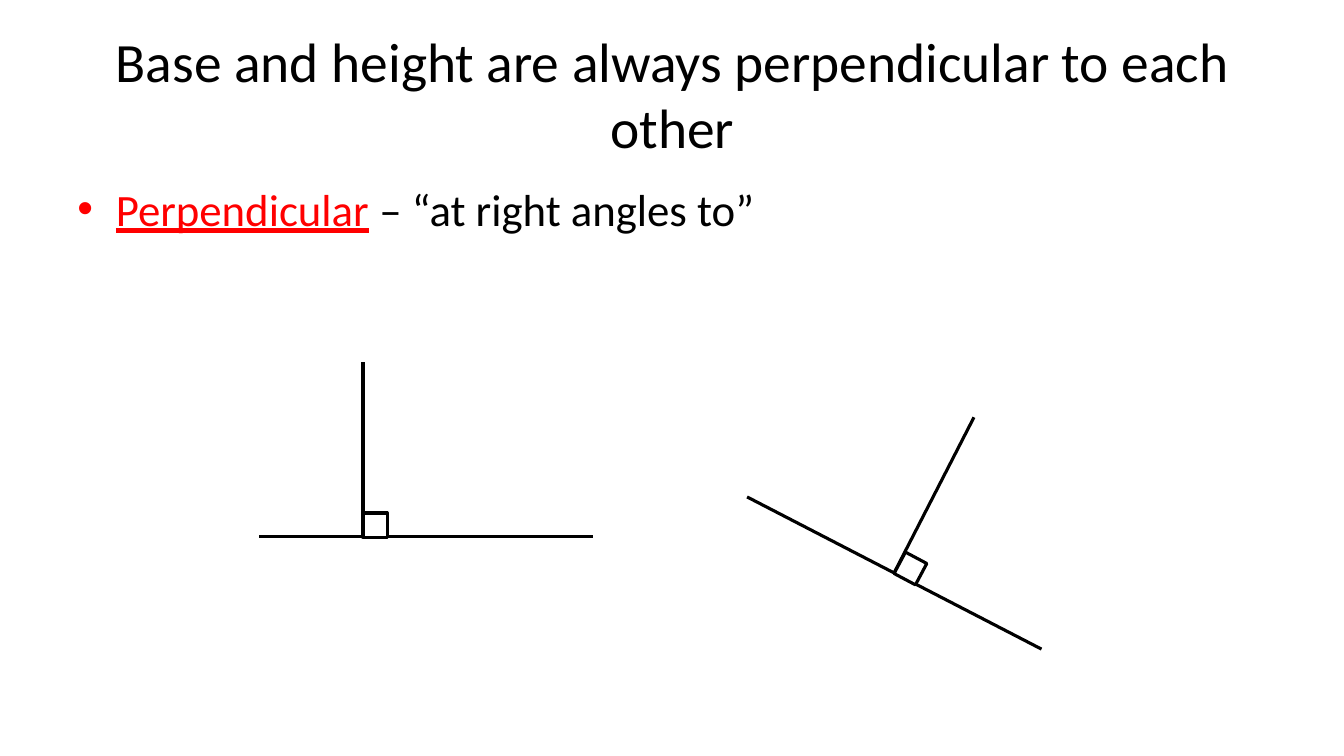
from dataclasses import dataclass

from lxml.etree import SubElement
from pptx import Presentation
from pptx.dml.color import RGBColor
from pptx.enum.shapes import MSO_CONNECTOR, MSO_SHAPE
from pptx.enum.text import MSO_ANCHOR, PP_ALIGN
from pptx.oxml.ns import qn
from pptx.slide import Slide
from pptx.util import Inches, Pt

BLACK, RED, WHITE = "000000", "FF0000", "FFFFFF"
LINE_WIDTH = Pt(2.25)
MARK_SIZE = 0.24

Point = tuple[float, float]


@dataclass
class RightAngle:
    base: tuple[Point, Point]
    height: tuple[Point, Point]
    mark: Point
    rotation: float = 0


RIGHT_ANGLES = [
    RightAngle(((2.57, 5.32), (5.88, 5.32)), ((3.6, 5.32), (3.6, 3.59)), (3.6, 5.09)),
    RightAngle(((7.41, 4.93), (10.33, 6.44)), ((8.87, 5.68), (9.66, 4.14)), (8.91, 5.52), 28),
]


def rgb(color: str) -> RGBColor:
    return RGBColor.from_string(color)


def add_text(s: Slide, top: float, height: float, runs: list[tuple[str, str, bool]], *,
             size: float, align: PP_ALIGN = PP_ALIGN.LEFT,
             anchor: MSO_ANCHOR = MSO_ANCHOR.TOP, bullet: str = "") -> None:
    """Add a full-width paragraph; each run is (text, colour, underlined)."""
    tf = s.shapes.add_textbox(Inches(0.67), Inches(top), Inches(12), Inches(height)).text_frame
    tf.word_wrap = True
    tf.vertical_anchor = anchor
    p = tf.paragraphs[0]
    p.alignment = align
    if bullet:
        pPr = p._p.get_or_add_pPr()
        indent = Inches(0.38)
        pPr.set("marL", str(indent))
        pPr.set("indent", str(-indent))
        SubElement(pPr, qn("a:buFont"), typeface="Arial")
        SubElement(pPr, qn("a:buChar"), char=bullet)
    for text, color, underlined in runs:
        r = p.add_run()
        r.text = text
        r.font.name = "Calibri"
        r.font.size = Pt(size)
        r.font.color.rgb = rgb(color)
        r.font.underline = underlined


def add_line(s: Slide, start: Point, end: Point) -> None:
    line = s.shapes.add_connector(MSO_CONNECTOR.STRAIGHT, *map(Inches, start + end))
    line.line.color.rgb = rgb(BLACK)
    line.line.width = LINE_WIDTH
    SubElement(line._element.spPr, qn("a:effectLst"))


def add_right_angle(s: Slide, angle: RightAngle) -> None:
    add_line(s, *angle.base)
    add_line(s, *angle.height)
    mark = s.shapes.add_shape(MSO_SHAPE.RECTANGLE, *map(Inches, angle.mark),
                              Inches(MARK_SIZE), Inches(MARK_SIZE))
    mark.rotation = angle.rotation
    mark.shadow.inherit = False
    mark.fill.solid()
    mark.fill.fore_color.rgb = rgb(WHITE)
    mark.line.color.rgb = rgb(BLACK)
    mark.line.width = LINE_WIDTH


def main() -> None:
    prs = Presentation()
    prs.slide_width, prs.slide_height = Inches(13.33), Inches(7.5)
    s = prs.slides.add_slide(prs.slide_layouts[6])
    add_text(s, 0.3, 1.25,
             [("Base and height are always perpendicular to each other", BLACK, False)],
             size=39.6, align=PP_ALIGN.CENTER, anchor=MSO_ANCHOR.MIDDLE)
    add_text(s, 1.75, 4.95,
             [("Perpendicular", RED, True), (" – “at right angles to”", BLACK, False)],
             size=32, bullet="•")
    for angle in RIGHT_ANGLES:
        add_right_angle(s, angle)
    prs.save("out.pptx")


if __name__ == "__main__":
    main()
